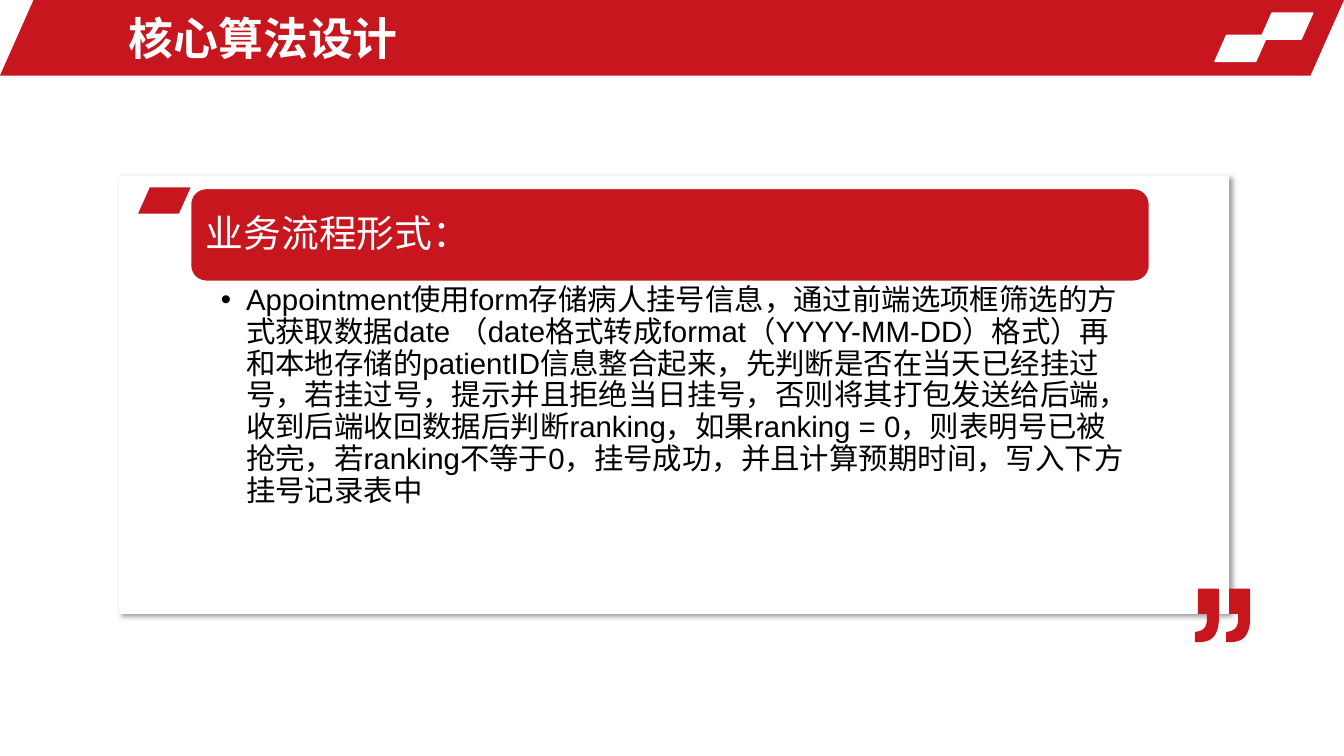
from dataclasses import dataclass

from lxml.etree import SubElement
from pptx import Presentation
from pptx.dml.color import RGBColor
from pptx.enum.shapes import MSO_SHAPE
from pptx.enum.text import MSO_ANCHOR
from pptx.oxml.ns import qn
from pptx.shapes.autoshape import Shape
from pptx.shapes.shapetree import GroupShapes, SlideShapes
from pptx.text.text import _Paragraph as Paragraph
from pptx.util import Inches, Pt

COLORS = {"red": "C8161E", "white": "FFFFFF", "black": "000000"}
FONT = "Arial"
SLANT = 0.444
CURVE_STEPS = 12
EXPLANATION = (
    "Appointment使用form存储病人挂号信息，通过前端选项框筛选的方式获取数据date "
    "（date格式转成format（YYYY-MM-DD）格式）再和本地存储的patientID信息整合起来，"
    "先判断是否在当天已经挂过号，若挂过号，提示并且拒绝当日挂号，"
    "否则将其打包发送给后端，收到后端收回数据后判断ranking，"
    "如果ranking = 0，则表明号已被抢完，若ranking不等于0，挂号成功，"
    "并且计算预期时间，写入下方挂号记录表中"
)

Point = tuple[float, float]
Shapes = SlideShapes | GroupShapes


@dataclass(frozen=True)
class Box:
    left: float
    top: float
    width: float
    height: float

    def lengths(self) -> tuple[int, int, int, int]:
        return (Inches(self.left), Inches(self.top),
                Inches(self.width), Inches(self.height))


@dataclass(frozen=True)
class Panel:
    box: Box
    preset: MSO_SHAPE
    fill: str
    adjustment: float
    outlined: bool = False


@dataclass(frozen=True)
class Label:
    box: Box
    text: str
    size: float
    color: str
    insets: tuple[float, float, float, float] = (0.1, 0.05, 0.1, 0.05)
    anchor: MSO_ANCHOR = MSO_ANCHOR.MIDDLE
    bold: bool = False
    line_spacing: float = 1.0
    bulleted: bool = False


def rgb(name: str) -> RGBColor:
    return RGBColor.from_string(COLORS[name])


def paint(shape: Shape, fill: str, outlined: bool = False) -> None:
    shape.shadow.inherit = False
    shape.fill.solid()
    shape.fill.fore_color.rgb = rgb(fill)
    if outlined:
        shape.line.color.rgb = rgb("white")
        shape.line.width = Pt(1)
    else:
        shape.line.fill.background()


def draw_panel(shapes: Shapes, panel: Panel) -> Shape:
    shape = shapes.add_shape(panel.preset, *panel.box.lengths())
    shape.adjustments[0] = panel.adjustment
    paint(shape, panel.fill, panel.outlined)
    return shape


def cast_shadow(shape: Shape) -> None:
    effects = shape._element.spPr.find(qn("a:effectLst"))
    shadow = SubElement(effects, qn("a:outerShdw"), blurRad=str(Pt(4)),
                        dist=str(Pt(3)), dir="2700000", algn="tl",
                        rotWithShape="0")
    tint = SubElement(shadow, qn("a:srgbClr"), val=COLORS["black"])
    SubElement(tint, qn("a:alpha"), val="40000")


def add_bullet(paragraph: Paragraph) -> None:
    paragraph.level = 1
    properties = paragraph._p.get_or_add_pPr()
    properties.set("marL", str(Inches(0.25)))
    properties.set("indent", str(Inches(-0.25)))
    SubElement(properties, qn("a:buFont"), typeface=FONT)
    SubElement(properties, qn("a:buChar"), char="•")


def draw_label(shapes: Shapes, label: Label) -> None:
    frame = shapes.add_textbox(*label.box.lengths()).text_frame
    frame.word_wrap = True
    frame.vertical_anchor = label.anchor
    (frame.margin_left, frame.margin_top,
     frame.margin_right, frame.margin_bottom) = map(Inches, label.insets)
    paragraph = frame.paragraphs[0]
    paragraph.text = label.text
    paragraph.line_spacing = label.line_spacing
    if label.bulleted:
        add_bullet(paragraph)
    paragraph.font.name = FONT
    paragraph.font.size = Pt(label.size)
    paragraph.font.bold = label.bold
    paragraph.font.color.rgb = rgb(label.color)


def curve(start: Point, pull: Point, push: Point, end: Point) -> list[Point]:
    points = []
    for step in range(1, CURVE_STEPS + 1):
        t = step / CURVE_STEPS
        weights = ((1 - t) ** 3, 3 * t * (1 - t) ** 2, 3 * t * t * (1 - t), t ** 3)
        x, y = (sum(w * p[axis] for w, p in zip(weights, (start, pull, push, end)))
                for axis in (0, 1))
        points.append((x, y))
    return points


def draw_closing_quote(shapes: Shapes, left: float, top: float, pitch: float) -> None:
    comma = [
        (0.03, 0), (0.24, 0), (0.24, 0.28),
        *curve((0.24, 0.28), (0.24, 0.45), (0.18, 0.53), (0.05, 0.53)),
        (0, 0.53), (0, 0.43),
        *curve((0, 0.43), (0.09, 0.42), (0.12, 0.38), (0.12, 0.3)),
        (0.12, 0.25), (0.03, 0.25),
    ]
    commas = [[(Inches(left + index * pitch + x), Inches(top + y)) for x, y in comma]
              for index in range(2)]
    outline = shapes.build_freeform(*commas[0][0], scale=1.0)
    outline.add_line_segments(commas[0][1:], close=True)
    outline.move_to(*commas[1][0])
    outline.add_line_segments(commas[1][1:], close=True)
    paint(outline.convert_to_shape(), "red")


HEADER = [
    Panel(Box(0, 0, 13.33, 0.75), MSO_SHAPE.PARALLELOGRAM, "red", SLANT),
    Panel(Box(12.5, 0.13, 0.52, 0.26), MSO_SHAPE.PARALLELOGRAM, "white", SLANT, True),
    Panel(Box(12.05, 0.35, 0.52, 0.26), MSO_SHAPE.PARALLELOGRAM, "white", SLANT, True),
]
TITLE = Label(Box(1.18, 0.05, 7.74, 0.65), "核心算法设计", 32, "white", bold=True)
CARD = Panel(Box(1.18, 1.74, 11.01, 4.35), MSO_SHAPE.ROUNDED_RECTANGLE, "white", 0)
CARD_TAG = Panel(Box(1.37, 1.86, 0.52, 0.26), MSO_SHAPE.PARALLELOGRAM, "red", SLANT)
BANNER = Panel(Box(1.89, 1.87, 9.51, 0.92), MSO_SHAPE.ROUNDED_RECTANGLE,
               "red", 0.167, True)
PROCESS = [
    Label(Box(1.93, 1.92, 9.42, 0.83), "业务流程形式：", 27, "white",
          insets=(0.11, 0.11, 0.11, 0.11), line_spacing=0.9),
    Label(Box(1.89, 2.79, 9.51, 3.3), EXPLANATION, 21, "black",
          insets=(0.3, 0.04, 0.21, 0.04), anchor=MSO_ANCHOR.TOP,
          line_spacing=0.9, bulleted=True),
]


def main() -> None:
    presentation = Presentation()
    presentation.slide_width = Inches(13.33)
    presentation.slide_height = Inches(7.5)
    shapes = presentation.slides.add_slide(presentation.slide_layouts[6]).shapes

    for panel in HEADER:
        draw_panel(shapes, panel)
    draw_label(shapes, TITLE)
    cast_shadow(draw_panel(shapes, CARD))
    draw_panel(shapes, CARD_TAG)

    process = shapes.add_group_shape().shapes
    draw_panel(process, BANNER)
    for label in PROCESS:
        draw_label(process, label)

    draw_closing_quote(shapes, left=11.85, top=5.84, pitch=0.31)
    presentation.save("out.pptx")


if __name__ == "__main__":
    main()
